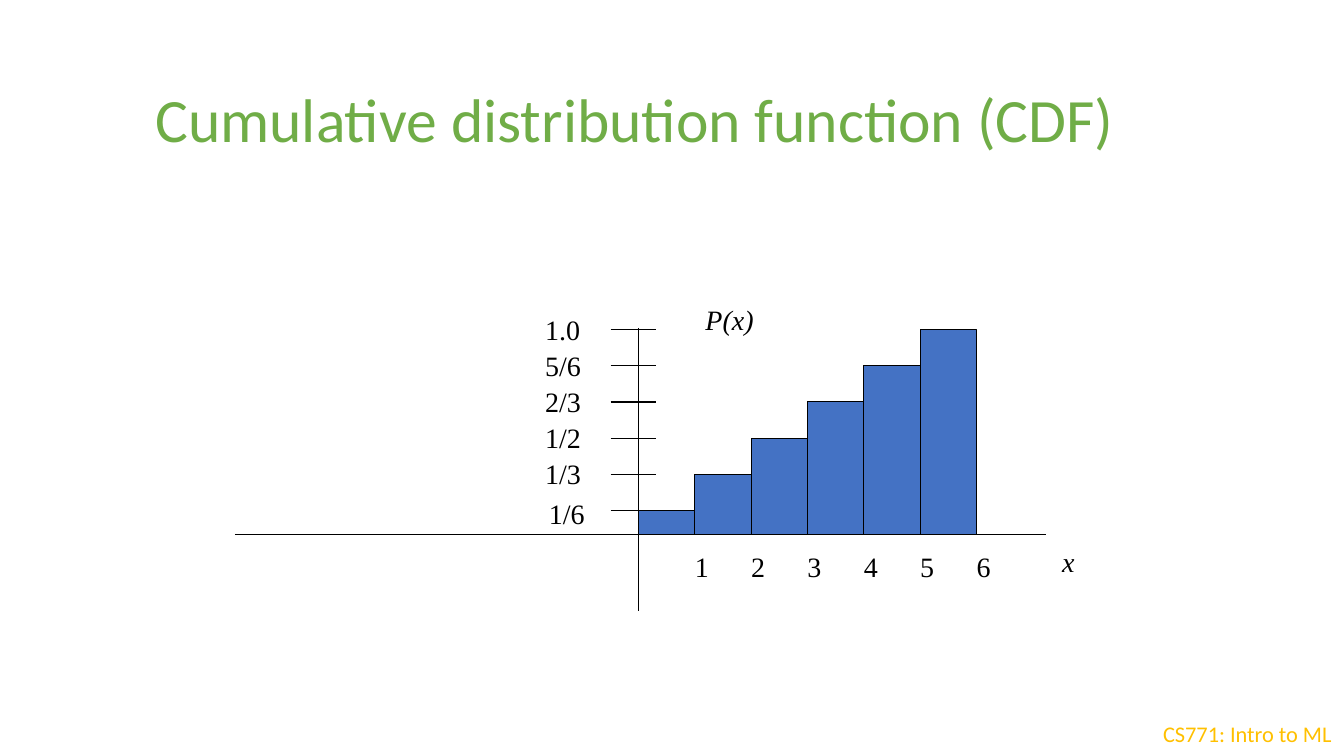
import pptx
import pptx.util
import pptx.dml.color
import pptx.enum.shapes
import pptx.enum.text
import lxml.etree
from dataclasses import dataclass

Cm, Pt = pptx.util.Cm, pptx.util.Pt


@dataclass(frozen=True)
class Theme:
    title: str = "70AD47"
    footer: str = "FFC000"
    bar: str = "4472C4"
    ink: str = "000000"
    sans: str = "Calibri"
    serif: str = "Times New Roman"
    title_size: float = 44
    label_size: float = 20
    footer_size: float = 16
    line_width: float = 0.75


THEME = Theme()


def rgb(color):
    return pptx.dml.color.RGBColor.from_string(color)


def place(shape, box):
    shape.left, shape.top, shape.width, shape.height = (Cm(v) for v in box)


def add_run(p, text, size, font, color, italic=False):
    r = p.add_run()
    r.text = text
    r.font.size, r.font.name, r.font.italic = Pt(size), font, italic
    r.font.color.rgb = rgb(color)


def add_label(s, text, box, italic=False, inset=0):
    tf = s.shapes.add_textbox(*(Cm(v) for v in box)).text_frame
    tf.word_wrap = True
    tf.margin_left = tf.margin_right = Cm(inset)
    tf.margin_top = tf.margin_bottom = Cm(inset / 2)
    add_run(tf.paragraphs[0], text, THEME.label_size, THEME.serif, THEME.ink, italic)


def add_line(s, x1, y1, x2, y2):
    line = s.shapes.add_connector(
        pptx.enum.shapes.MSO_CONNECTOR.STRAIGHT, Cm(x1), Cm(y1), Cm(x2), Cm(y2))
    line.line.color.rgb = rgb(THEME.ink)
    line.line.width = Pt(THEME.line_width)
    sp_pr = line._element.spPr
    lxml.etree.SubElement(sp_pr, pptx.oxml.ns.qn("a:effectLst"))


def add_title(s, box):
    title = s.shapes.title
    place(title, box)
    tf = title.text_frame
    tf.auto_size = pptx.enum.text.MSO_AUTO_SIZE.NONE
    tf.vertical_anchor = pptx.enum.text.MSO_ANCHOR.MIDDLE
    p = tf.paragraphs[0]
    p.alignment = pptx.enum.text.PP_ALIGN.LEFT
    p.line_spacing = 0.9
    add_run(p, "Cumulative distribution function (CDF)",
            THEME.title_size, THEME.sans, THEME.title)


def add_footer(s, box):
    tf = s.shapes.add_textbox(*(Cm(v) for v in box)).text_frame
    tf.word_wrap = False
    add_run(tf.paragraphs[0], "CS771: Intro to ML",
            THEME.footer_size, THEME.sans, THEME.footer)


def add_cdf_plot(s, box):
    left, top, width, height = box
    axis_x, base_y = left + 10.17, top + 5.22
    bar_width, step, first_height = 1.42, 0.91, 0.62
    levels = ["1/6", "1/3", "1/2", "2/3", "5/6", "1.0"]

    # Bars with their outcomes, and ticks with their probabilities
    for i, level in enumerate(levels):
        bar_height = first_height + i * step
        bar_left, bar_top = axis_x + i * bar_width, base_y - bar_height
        bar = s.shapes.add_shape(
            pptx.enum.shapes.MSO_SHAPE.RECTANGLE,
            Cm(bar_left), Cm(bar_top), Cm(bar_width), Cm(bar_height))
        bar.shadow.inherit = False
        bar.fill.solid()
        bar.fill.fore_color.rgb = rgb(THEME.bar)
        bar.line.color.rgb = rgb(THEME.ink)
        bar.line.width = Pt(THEME.line_width)
        add_line(s, axis_x - 0.7, bar_top, axis_x + 0.45, bar_top)
        # The lowest label sits slightly off the column
        nudge = 0.09 if i == 0 else 0
        add_label(s, level, (left + 7.82 + nudge, bar_top - 0.44 + nudge, 1.47, 0.53))
        add_label(s, str(i + 1), (bar_left + bar_width, base_y + 0.36, 0.6, 0.6))

    # Axes
    add_line(s, axis_x, top, axis_x, top + height)
    add_line(s, left, base_y, left + width, base_y)
    add_label(s, "x", (left + width + 0.15, base_y + 0.11, 1.98, 1.09), True, 0.25)
    add_label(s, "P(x)", (axis_x + 1.44, top - 0.77, 3.35, 1.09), True, 0.25)


def main():
    prs = pptx.Presentation()
    prs.slide_width, prs.slide_height = Cm(33.87), Cm(19.05)
    s = prs.slides.add_slide(prs.slide_layouts[5])
    add_footer(s, (29.06, 18.03, 4.83, 0.94))
    add_title(s, (3.66, 1.07, 31.45, 4.06))
    add_cdf_plot(s, (5.92, 8.26, 20.45, 7.13))
    prs.save("out.pptx")


if __name__ == "__main__":
    main()
